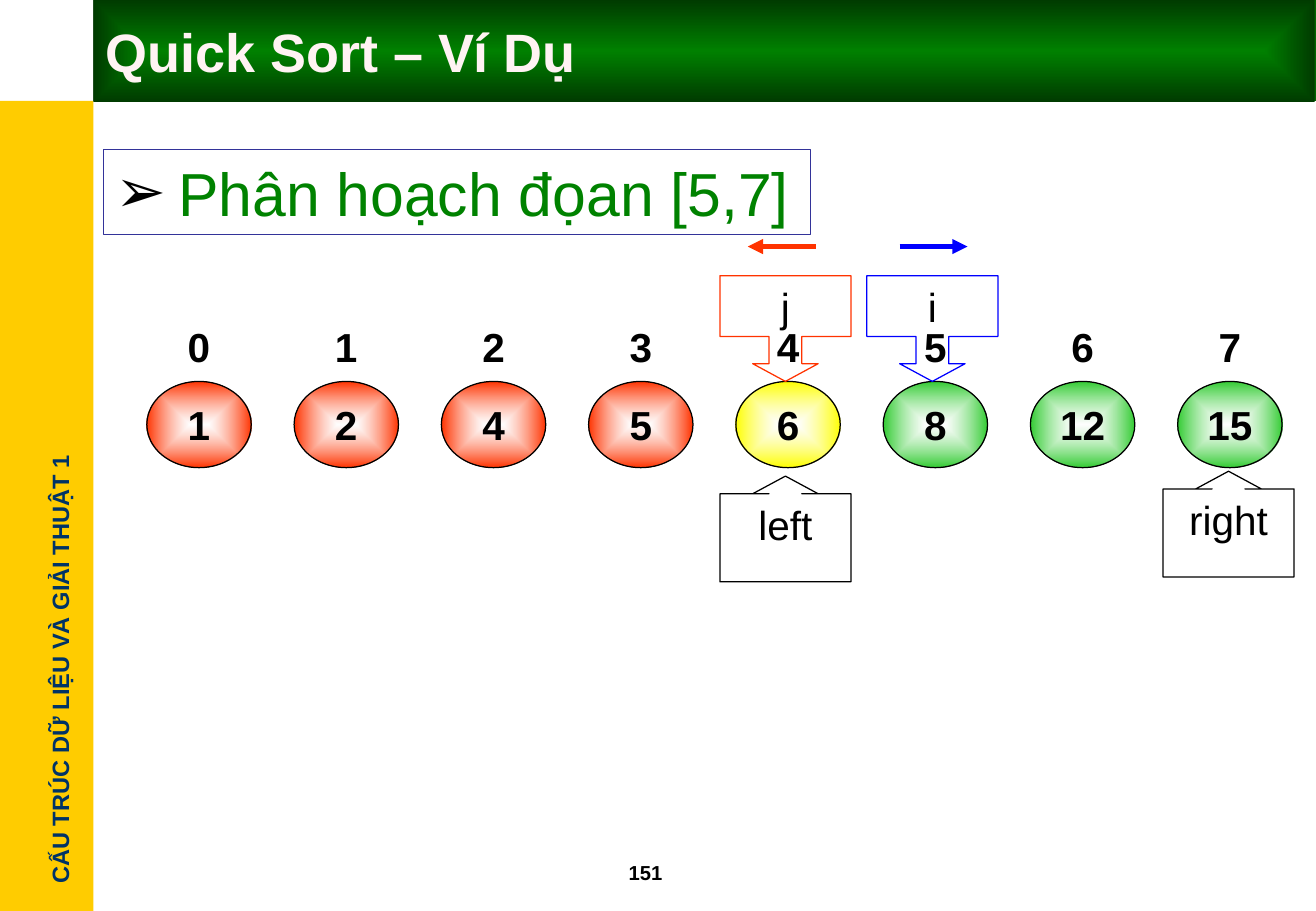
from lxml import etree
from pptx import Presentation
from pptx.dml.color import RGBColor
from pptx.enum.shapes import MSO_CONNECTOR, MSO_SHAPE
from pptx.enum.text import MSO_ANCHOR, PP_ALIGN
from pptx.oxml.ns import qn
from pptx.util import Inches, Pt

# Content
TITLE = "Quick Sort – Ví Dụ"
COURSE = "CẤU TRÚC DỮ LIỆU VÀ GIẢI THUẬT 1"
STEP = "Phân hoạch đọan [5,7]"
PAGE_NUMBER = "151"
RED, YELLOW, GREEN, BLUE, BLACK = "FF3300", "FFFF00", "33CC33", "0000FF", "000000"
VALUES = [(1, RED), (2, RED), (4, RED), (5, RED),
          (6, YELLOW), (8, GREEN), (12, GREEN), (15, GREEN)]
# label, left, top
BOUNDS = [("left", 5.93, 3.92), ("right", 9.58, 3.88)]
# label, left, colour, arrow start, arrow end
POINTERS = [("i", 7.14, BLUE, 7.41, 7.97), ("j", 5.93, RED, 6.72, 6.16)]

# Layout
FIRST_LEFT, PITCH = 1.21, 1.213
CELL_WIDTH, CELL_HEIGHT = 0.86, 0.71
INDEX_TOP, VALUE_TOP = 2.5, 3.14
CALLOUT_WIDTH, CALLOUT_HEIGHT = 1.08, 0.87
POINTER_TOP, ARROW_TOP = 2.27, 2.03


def color(hex_code):
    return RGBColor.from_string(hex_code)


def add_box(shapes, kind, left, top, width, height, fill=None, line=None):
    shape = shapes.add_shape(kind, Inches(left), Inches(top), Inches(width), Inches(height))
    shape.shadow.inherit = False
    if fill:
        shape.fill.solid()
        shape.fill.fore_color.rgb = color(fill)
    else:
        shape.fill.background()
    if line:
        shape.line.color.rgb = color(line)
        shape.line.width = Pt(0.75)
    else:
        shape.line.fill.background()
    return shape


def set_gradient(shape, start, end, from_center=True, start_alpha=None):
    shape.fill.gradient()
    shape.fill.gradient_angle = 0
    for stop, hex_code in zip(shape.fill.gradient_stops, (start, end)):
        stop.color.rgb = color(hex_code)
    gradient = shape._element.spPr.find(qn("a:gradFill"))
    if start_alpha:
        first_color = gradient.find(".//" + qn("a:srgbClr"))
        etree.SubElement(first_color, qn("a:alpha"), val=str(start_alpha * 1000))
    if from_center:
        gradient.remove(gradient.find(qn("a:lin")))
        rectangle = etree.SubElement(gradient, qn("a:path"), path="rect")
        etree.SubElement(rectangle, qn("a:fillToRect"), l="50000", t="50000", r="50000", b="50000")


def write(shape, text, size, bold=False, hex_code=BLACK, align=PP_ALIGN.LEFT,
          anchor=MSO_ANCHOR.TOP, wrap=True):
    frame = shape.text_frame
    frame.word_wrap = wrap
    frame.vertical_anchor = anchor
    paragraph = frame.paragraphs[0]
    paragraph.text = text
    paragraph.alignment = align
    paragraph.font.name = "Arial"
    paragraph.font.size = Pt(size)
    paragraph.font.bold = bold
    paragraph.font.color.rgb = color(hex_code)


def add_bullet(paragraph, character, hex_code, indent):
    properties = paragraph._p.get_or_add_pPr()
    properties.set("marL", str(Inches(indent)))
    properties.set("indent", str(-Inches(indent)))
    bullet_color = etree.SubElement(properties, qn("a:buClr"))
    etree.SubElement(bullet_color, qn("a:srgbClr"), val=hex_code)
    etree.SubElement(properties, qn("a:buFont"), typeface="Arial")
    etree.SubElement(properties, qn("a:buChar"), char=character)


def add_arrow(shapes, start, end, top, hex_code):
    arrow = shapes.add_connector(MSO_CONNECTOR.STRAIGHT, Inches(start), Inches(top),
                                 Inches(end), Inches(top))
    arrow.line.color.rgb = color(hex_code)
    arrow.line.width = Pt(3)
    etree.SubElement(arrow.line._get_or_add_ln(), qn("a:tailEnd"), type="triangle")
    etree.SubElement(arrow._element.spPr, qn("a:effectLst"))


def add_callout(shapes, kind, label, left, top, line, box_share):
    callout = add_box(shapes, kind, left, top, CALLOUT_WIDTH, CALLOUT_HEIGHT, line=line)
    for position, value in enumerate((0.31, 0.31, 0.167, box_share)):
        callout.adjustments[position] = value
    write(callout, label, 24, align=PP_ALIGN.CENTER)


presentation = Presentation()
presentation.slide_width = Inches(10.84)
presentation.slide_height = Inches(7.5)
slide = presentation.slides.add_slide(presentation.slide_layouts[6])
shapes = slide.shapes

# Side band, course name and page number
add_box(shapes, MSO_SHAPE.RECTANGLE, 0, 0.83, 0.77, 6.67, fill="FFCC00")
course = shapes.add_textbox(Inches(-1.37), Inches(5.34), Inches(3.73), Inches(0.34))
course.rotation = 270
write(course, COURSE, 14, bold=True, hex_code="003366", wrap=False)
page = shapes.add_textbox(Inches(5.08), Inches(7.03), Inches(0.83), Inches(0.3))
write(page, PAGE_NUMBER, 12, bold=True)

# Title bar
backing = add_box(shapes, MSO_SHAPE.RECTANGLE, 0.77, 0, 10.08, 0.83)
set_gradient(backing, "002F00", "006600", from_center=False)
title = add_box(shapes, MSO_SHAPE.RECTANGLE, 0.77, 0, 10.06, 0.84)
set_gradient(title, "008000", "003B00")
write(title, TITLE, 32, bold=True, hex_code="FFF3F3", anchor=MSO_ANCHOR.MIDDLE)

# Array values with their indices above
index_shapes = shapes.add_group_shape().shapes
for index, (value, hex_code) in enumerate(VALUES):
    left = FIRST_LEFT + index * PITCH
    cell = add_box(shapes, MSO_SHAPE.OVAL, left, VALUE_TOP, CELL_WIDTH, CELL_HEIGHT, line=BLACK)
    set_gradient(cell, "FFFFFF", hex_code, start_alpha=60)
    write(cell, str(value), 24, bold=True, align=PP_ALIGN.CENTER)
    heading = add_box(index_shapes, MSO_SHAPE.OVAL, left, INDEX_TOP, CELL_WIDTH, CELL_HEIGHT)
    write(heading, str(index), 24, bold=True, align=PP_ALIGN.CENTER)

# Segment bounds below the array
for label, left, top in BOUNDS:
    add_callout(shapes, MSO_SHAPE.UP_ARROW_CALLOUT, label, left, top, BLACK, 0.851)

# Moving pointers above the array
for label, left, hex_code, start, end in POINTERS:
    pointer_shapes = shapes.add_group_shape().shapes
    add_callout(pointer_shapes, MSO_SHAPE.DOWN_ARROW_CALLOUT, label, left, POINTER_TOP,
                hex_code, 0.575)
    add_arrow(pointer_shapes, start, end, ARROW_TOP, hex_code)

# Current step
step = add_box(shapes, MSO_SHAPE.RECTANGLE, 0.85, 1.23, 5.83, 0.7, line="333399")
add_bullet(step.text_frame.paragraphs[0], "➢", BLACK, 0.52)
write(step, STEP, 36, hex_code="008200")

presentation.save("out.pptx")
